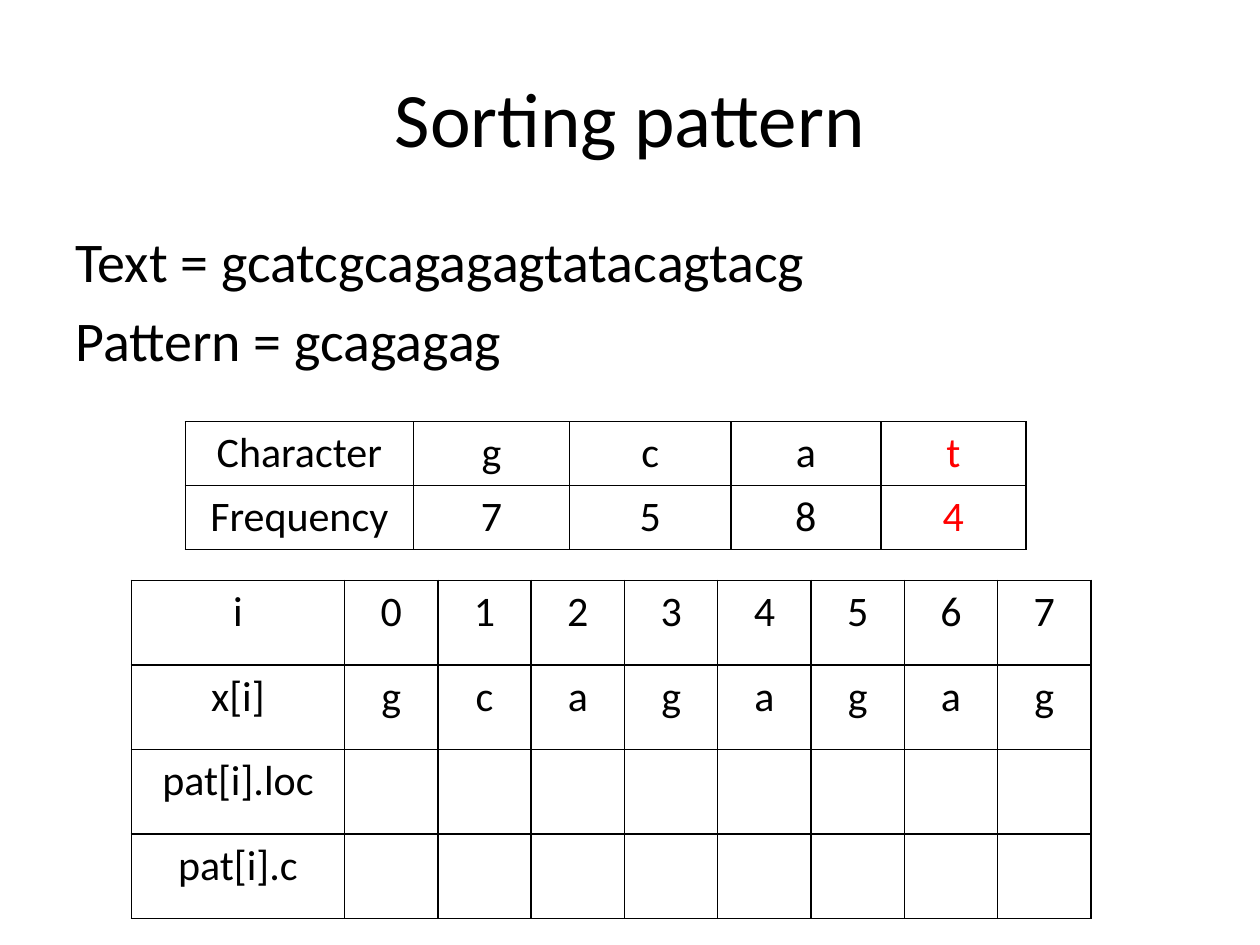
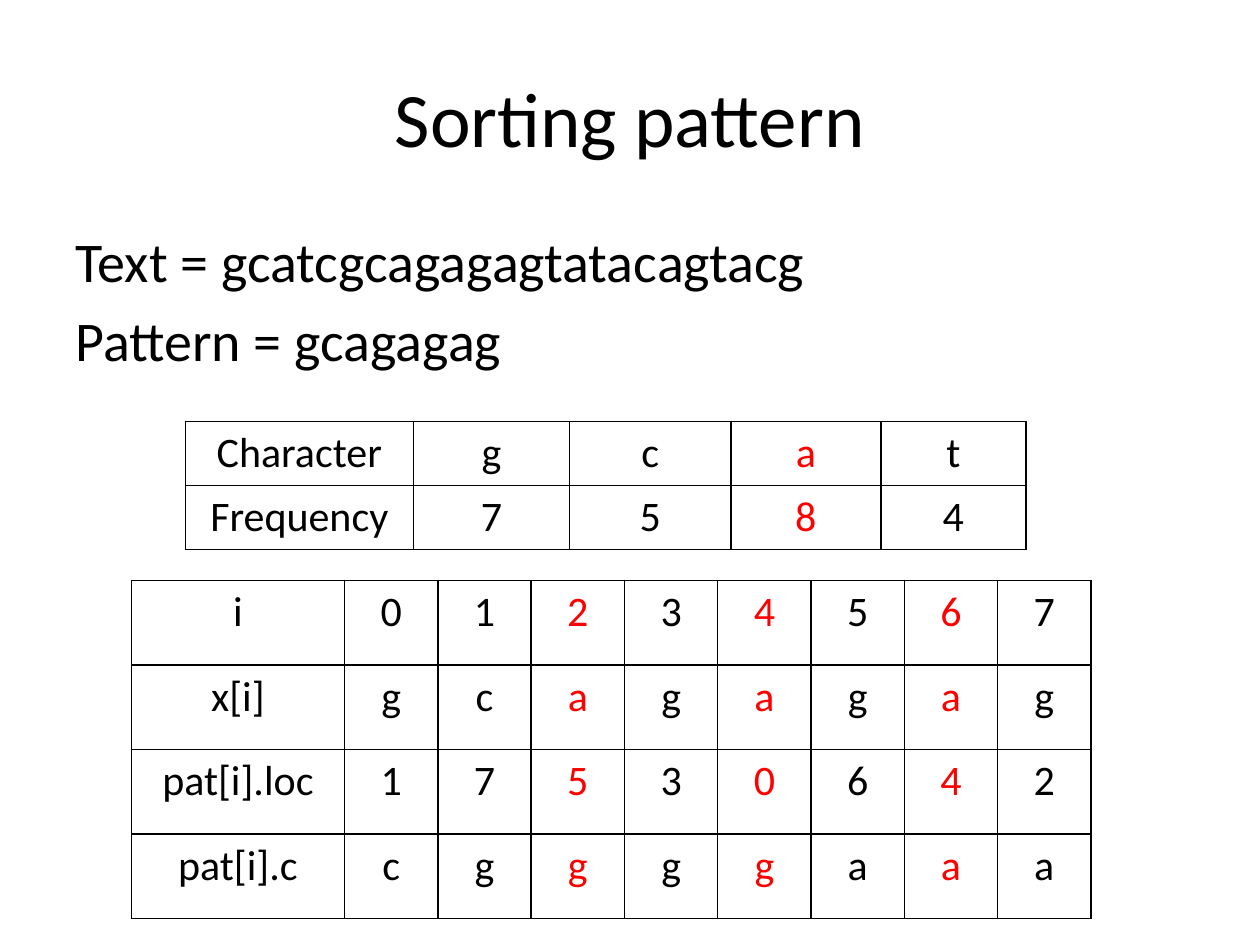
from dataclasses import dataclass
from lxml import etree
from pptx import Presentation
from pptx.dml.color import RGBColor
from pptx.enum.text import MSO_ANCHOR, PP_ALIGN
from pptx.oxml.ns import qn
from pptx.util import Pt


@dataclass(frozen=True)
class Theme:
    font: str = "Calibri"
    ink: str = "000000"
    accent: str = "FF0000"
    paper: str = "FFFFFF"
    title_size: float = 44
    body_size: float = 32
    cell_size: float = 24
    border: float = 1


THEME = Theme()
TITLE_ONLY = 5
TEXT = "gcatcgcagagagtatacagtacg"
PATTERN = "gcagagag"

# Regions as left, top, width, height in points
TITLE_BOX = (36, 21.6, 648, 90)
BODY_BOX = (36, 126, 648, 356.4)
FREQUENCY_BOX = (105.9, 241, 480.3, 73)
PATTERN_BOX = (75, 331.7, 548.4, 193.2)
FREQUENCY_WIDTHS = [130.3, 89.3, 92.2, 85.7, 82.8]
LABEL_WIDTH = 122


def write_text(para, text, size, color=THEME.ink, align=PP_ALIGN.LEFT, space_before=0):
    para.alignment = align
    para.space_before = Pt(space_before)
    span = para.add_run()
    span.text = text
    span.font.name = THEME.font
    span.font.size = Pt(size)
    span.font.color.rgb = RGBColor.from_string(color)


def add_title(page, box, text):
    title = page.shapes.title
    title.left, title.top, title.width, title.height = map(Pt, box)
    title.text_frame.vertical_anchor = MSO_ANCHOR.MIDDLE
    write_text(title.text_frame.paragraphs[0], text, THEME.title_size, align=PP_ALIGN.CENTER)


def add_body(page, box, lines):
    frame = page.shapes.add_textbox(*map(Pt, box)).text_frame
    frame.word_wrap = True
    for number, line in enumerate(lines):
        para = frame.add_paragraph() if number else frame.paragraphs[0]
        gap = THEME.body_size * 0.2 if number else 0
        write_text(para, line, THEME.body_size, space_before=gap)


def add_borders(cell):
    properties = cell._tc.get_or_add_tcPr()
    for position, side in enumerate(("lnL", "lnR", "lnT", "lnB")):
        line = etree.Element(qn(f"a:{side}"), w=str(Pt(THEME.border)))
        fill = etree.SubElement(line, qn("a:solidFill"))
        etree.SubElement(fill, qn("a:srgbClr"), val=THEME.ink)
        properties.insert(position, line)


def add_grid(page, box, widths, rows, accent_columns):
    table = page.shapes.add_table(len(rows), len(widths), *map(Pt, box)).table
    table.first_row = table.horz_banding = False
    for column, width in zip(table.columns, widths):
        column.width = Pt(width)
    for row, values in zip(table.rows, rows):
        row.height = Pt(box[3] / len(rows))
        for index, (cell, value) in enumerate(zip(row.cells, values)):
            cell.fill.background()
            add_borders(cell)
            if value:
                color = THEME.accent if index in accent_columns else THEME.ink
                write_text(cell.text_frame.paragraphs[0], value, THEME.cell_size,
                           color=color, align=PP_ALIGN.CENTER)


def columns_of(letter, row):
    return {index for index, value in enumerate(row) if value == letter}


def add_frequency_table(page, box, letter):
    characters = ["Character", *"gcat"]
    add_grid(page, box, FREQUENCY_WIDTHS, [characters, ["Frequency", *"7584"]],
             columns_of(letter, characters))


def add_pattern_table(page, box, letter, locations):
    count = len(PATTERN)
    characters = ["x[i]", *PATTERN]
    rows = [
        ["i", *map(str, range(count))],
        characters,
        ["pat[i].loc", *(locations or [""] * count)],
        ["pat[i].c", *([PATTERN[int(spot)] for spot in locations] or [""] * count)],
    ]
    widths = [LABEL_WIDTH] + [(box[2] - LABEL_WIDTH) / count] * count
    add_grid(page, box, widths, rows, columns_of(letter, characters))


def add_sorting_slide(deck, letter, locations):
    page = deck.slides.add_slide(deck.slide_layouts[TITLE_ONLY])
    page.background.fill.solid()
    page.background.fill.fore_color.rgb = RGBColor.from_string(THEME.paper)
    add_title(page, TITLE_BOX, "Sorting pattern")
    add_body(page, BODY_BOX, [f"Text = {TEXT}", f"Pattern = {PATTERN}"])
    add_frequency_table(page, FREQUENCY_BOX, letter)
    add_pattern_table(page, PATTERN_BOX, letter, locations)


def main():
    deck = Presentation()
    deck.slide_width, deck.slide_height = Pt(720), Pt(540)
    # Current letter and the sorted locations found so far
    for letter, locations in (("t", ""), ("a", "17530642")):
        add_sorting_slide(deck, letter, locations)
    deck.save("out.pptx")


if __name__ == "__main__":
    main()
